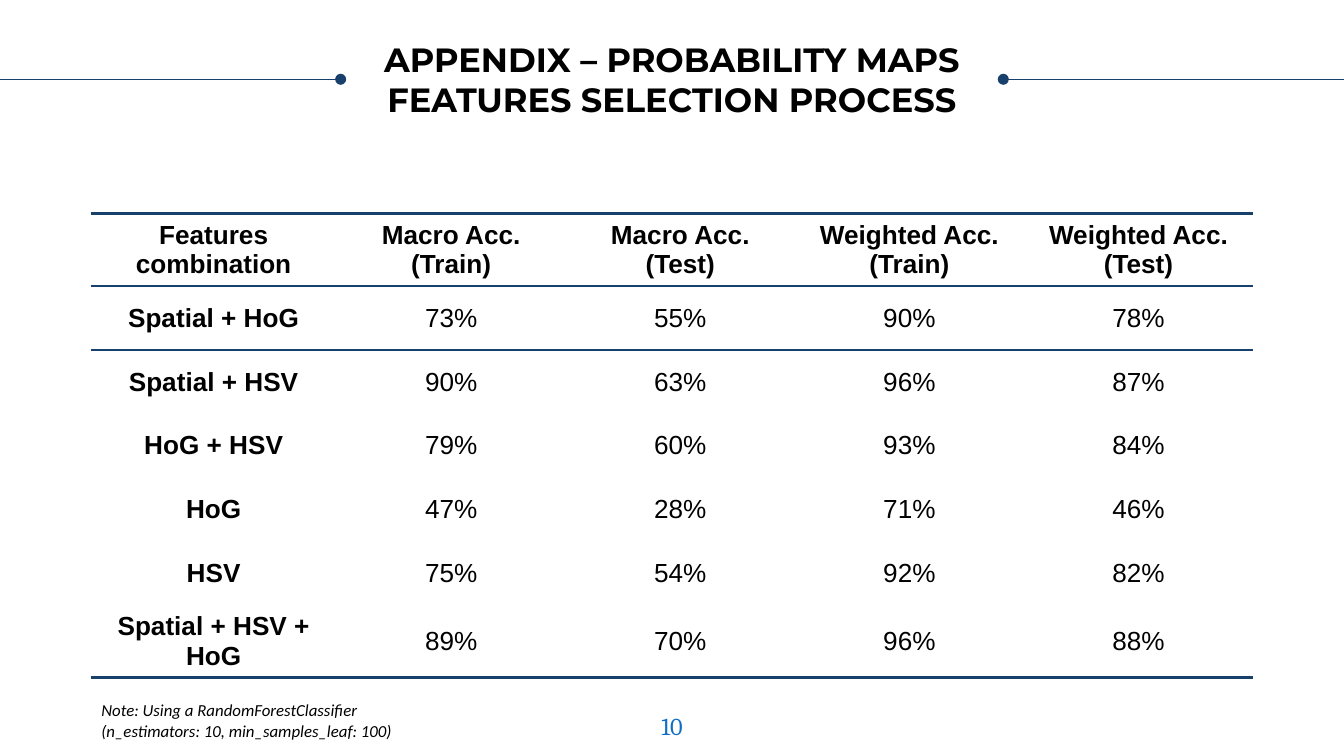
from lxml import etree
from pptx import Presentation
from pptx.dml.color import RGBColor
from pptx.enum.shapes import MSO_CONNECTOR, MSO_SHAPE
from pptx.enum.text import MSO_ANCHOR, PP_ALIGN
from pptx.oxml.ns import qn
from pptx.util import Inches, Pt

CENTER, LEFT = PP_ALIGN.CENTER, PP_ALIGN.LEFT
MIDDLE, TOP = MSO_ANCHOR.MIDDLE, MSO_ANCHOR.TOP
NAVY, BLUE, BLACK, WHITE = "17406D", "0F6FC6", "000000", "FFFFFF"
WIDTH = 10
HEIGHT = WIDTH * 9 / 16

TITLE = "APPENDIX – PROBABILITY MAPS\vFEATURES SELECTION PROCESS"
PAGE_NUMBER = "10"
NOTE = "Note: Using a RandomForestClassifier\n(n_estimators: 10, min_samples_leaf: 100)"
RESULTS = [
    ("Features combination", "Macro Acc.\n(Train)", "Macro Acc.\n(Test)",
     "Weighted Acc.\n(Train)", "Weighted Acc.\n(Test)"),
    ("Spatial + HoG", "73%", "55%", "90%", "78%"),
    ("Spatial + HSV", "90%", "63%", "96%", "87%"),
    ("HoG + HSV", "79%", "60%", "93%", "84%"),
    ("HoG", "47%", "28%", "71%", "46%"),
    ("HSV", "75%", "54%", "92%", "82%"),
    ("Spatial + HSV + HoG", "89%", "70%", "96%", "88%"),
]
RULED_ABOVE = {0, 1}
RULED_BELOW = {0, len(RESULTS) - 1}
TABLE_WIDTH, NAME_WIDTH = 8.65, 1.83
HEADER_HEIGHT, BODY_HEIGHT = 0.54, 2.85
SCORES, COMBINATIONS = len(RESULTS[0]) - 1, len(RESULTS) - 1
COLUMN_WIDTHS = [NAME_WIDTH] + [(TABLE_WIDTH - NAME_WIDTH) / SCORES] * SCORES
ROW_HEIGHTS = [HEADER_HEIGHT] + [BODY_HEIGHT / COMBINATIONS] * COMBINATIONS
MARGIN, TABLE_TOP = (WIDTH - TABLE_WIDTH) / 2, 1.59
TITLE_WIDTH, TITLE_TOP, TITLE_HEIGHT = 4.93, 0.12, 0.94
TITLE_LEFT = (WIDTH - TITLE_WIDTH) / 2
FOOTER_TOP = 5.19
NO_STYLE = "{2D5ABB26-0587-4C30-8999-92F81FD0307C}"


def color(hex_value):
    return RGBColor.from_string(hex_value)


def write(frame, text, font, size, ink, align=CENTER, bold=False, italic=False):
    frame.text = text
    for paragraph in frame.paragraphs:
        paragraph.alignment = align
        paragraph.font.name = font
        paragraph.font.size = Pt(size)
        paragraph.font.color.rgb = color(ink)
        paragraph.font.bold = bold
        paragraph.font.italic = italic


def set_frame(frame, anchor, side, end):
    frame.word_wrap = True
    frame.vertical_anchor = anchor
    frame.margin_left = frame.margin_right = Inches(side)
    frame.margin_top = frame.margin_bottom = Inches(end)


def add_label(slide, box, anchor, text, *style, **options):
    label = slide.shapes.add_textbox(*map(Inches, box))
    set_frame(label.text_frame, anchor, 0.1, 0.1)
    write(label.text_frame, text, *style, **options)


def add_title_rule(slide, start, end):
    y = Inches(TITLE_TOP + TITLE_HEIGHT / 2)
    rule = slide.shapes.add_connector(
        MSO_CONNECTOR.STRAIGHT, Inches(start), y, Inches(end), y)
    rule.line.color.rgb = color(NAVY)
    rule.line.width = Pt(0.75)
    etree.SubElement(rule.line._get_or_add_ln(), qn("a:headEnd"), type="oval")
    etree.SubElement(rule._element.spPr, qn("a:effectLst"))


def add_border(cell, side):
    border = etree.SubElement(
        cell._tc.get_or_add_tcPr(), qn("a:" + side), w=str(Pt(1.5)))
    fill = etree.SubElement(border, qn("a:solidFill"))
    etree.SubElement(fill, qn("a:srgbClr"), val=NAVY)


def add_results(slide):
    frame = slide.shapes.add_table(
        len(RESULTS), len(COLUMN_WIDTHS), Inches(MARGIN), Inches(TABLE_TOP),
        Inches(TABLE_WIDTH), Inches(sum(ROW_HEIGHTS)))
    table = frame.table
    table._tbl.tblPr.find(qn("a:tableStyleId")).text = NO_STYLE
    table.first_row = table.horz_banding = False
    for column, width in zip(table.columns, COLUMN_WIDTHS):
        column.width = Inches(width)
    for r, (row, height) in enumerate(zip(table.rows, ROW_HEIGHTS)):
        row.height = Inches(height)
        for c, cell in enumerate(row.cells):
            write(cell.text_frame, RESULTS[r][c], "Arial", 14, BLACK,
                  bold=r == 0 or c == 0)
            cell.vertical_anchor = MIDDLE
            if r in RULED_ABOVE:
                add_border(cell, "lnT")
            if r in RULED_BELOW:
                add_border(cell, "lnB")
            cell.fill.background()


def add_note(slide):
    note = slide.shapes.add_shape(
        MSO_SHAPE.ROUNDED_RECTANGLE, Inches(MARGIN), Inches(FOOTER_TOP),
        Inches(4.03), Inches(0.34))
    note.adjustments[0] = 0
    note.shadow.inherit = False
    note.fill.solid()
    note.fill.fore_color.rgb = color(WHITE)
    note.line.fill.background()
    set_frame(note.text_frame, MIDDLE, 0.08, 0.05)
    write(note.text_frame, NOTE, "Calibri", 9, BLACK, align=LEFT, italic=True)


def main():
    deck = Presentation()
    deck.slide_width, deck.slide_height = Inches(WIDTH), Inches(HEIGHT)
    slide = deck.slides.add_slide(deck.slide_layouts[6])
    add_title_rule(slide, TITLE_LEFT, 0)
    add_title_rule(slide, TITLE_LEFT + TITLE_WIDTH, WIDTH)
    add_results(slide)
    add_label(slide, (TITLE_LEFT, TITLE_TOP, TITLE_WIDTH, TITLE_HEIGHT), MIDDLE,
              TITLE, "Montserrat", 18, BLACK, bold=True)
    add_label(slide, (WIDTH / 2 - 0.3, FOOTER_TOP, 0.6, HEIGHT - FOOTER_TOP), TOP,
              PAGE_NUMBER, "Cambria", 13, BLUE)
    add_note(slide)
    deck.save("out.pptx")


if __name__ == "__main__":
    main()
